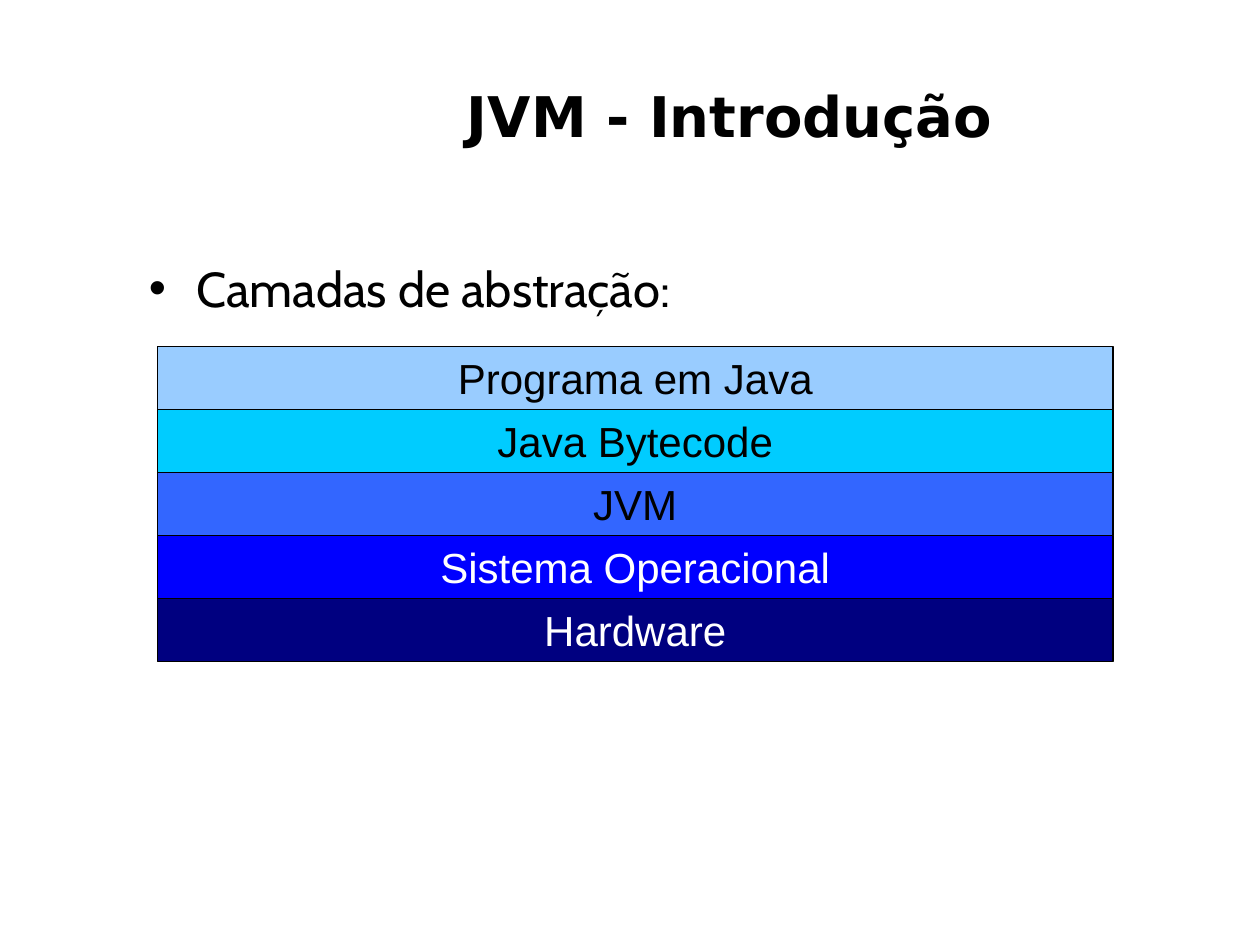
from lxml import etree
from pptx import Presentation
from pptx.dml.color import RGBColor
from pptx.enum.shapes import MSO_SHAPE as Shape
from pptx.enum.text import MSO_ANCHOR as Anchor, PP_ALIGN as Align
from pptx.oxml.ns import qn
from pptx.util import Pt


def color(value):
    return RGBColor.from_string(value)


def write(shape, text, font, size, text_color="000000", bold=False):
    frame = shape.text_frame
    frame.word_wrap = True
    frame.text = text
    paragraph = frame.paragraphs[0]
    run = paragraph.runs[0]
    run.font.name = font
    run.font.size = Pt(size)
    run.font.bold = bold
    run.font.color.rgb = color(text_color)
    return paragraph


presentation = Presentation()
presentation.slide_width = Pt(720)
presentation.slide_height = Pt(540)
slide = presentation.slides.add_slide(presentation.slide_layouts[6])

# Bulleted introduction
body = slide.shapes.add_textbox(Pt(78), Pt(144), Pt(612), Pt(336))
paragraph = write(body, "Camadas de abstração:", "Cabin", 28)
paragraph.space_before = Pt(7)
properties = paragraph._p.get_or_add_pPr()
properties.set("marL", str(Pt(27)))
properties.set("indent", str(Pt(-27)))
etree.SubElement(properties, qn("a:buFont"), typeface="Arial")
etree.SubElement(properties, qn("a:buChar"), char="•")

# Stack of abstraction layers, from top to bottom
layers = [
    ("Programa em Java", "99CCFF", "000000"),
    ("Java Bytecode", "00CCFF", "000000"),
    ("JVM", "3366FF", "000000"),
    ("Sistema Operacional", "0000FF", "FFFFFF"),
    ("Hardware", "000080", "FFFFFF"),
]
layer_height = 36
for index, (name, fill, text_color) in enumerate(layers):
    layer = slide.shapes.add_shape(
        Shape.RECTANGLE, Pt(90), Pt(198 + index * layer_height), Pt(546), Pt(layer_height))
    layer.shadow.inherit = False
    layer.fill.solid()
    layer.fill.fore_color.rgb = color(fill)
    layer.line.color.rgb = color("000000")
    layer.line.width = Pt(0.75)
    paragraph = write(layer, name, "Arial", 24, text_color)
    paragraph.alignment = Align.CENTER
    paragraph.space_before = Pt(15)
    layer.text_frame.vertical_anchor = Anchor.TOP

# Title
title = slide.shapes.add_textbox(Pt(138), Pt(36), Pt(558), Pt(60))
paragraph = write(title, "JVM - Introdução", "DejaVu Sans", 32, bold=True)
paragraph.alignment = Align.CENTER
title.text_frame.vertical_anchor = Anchor.MIDDLE

presentation.save("out.pptx")
